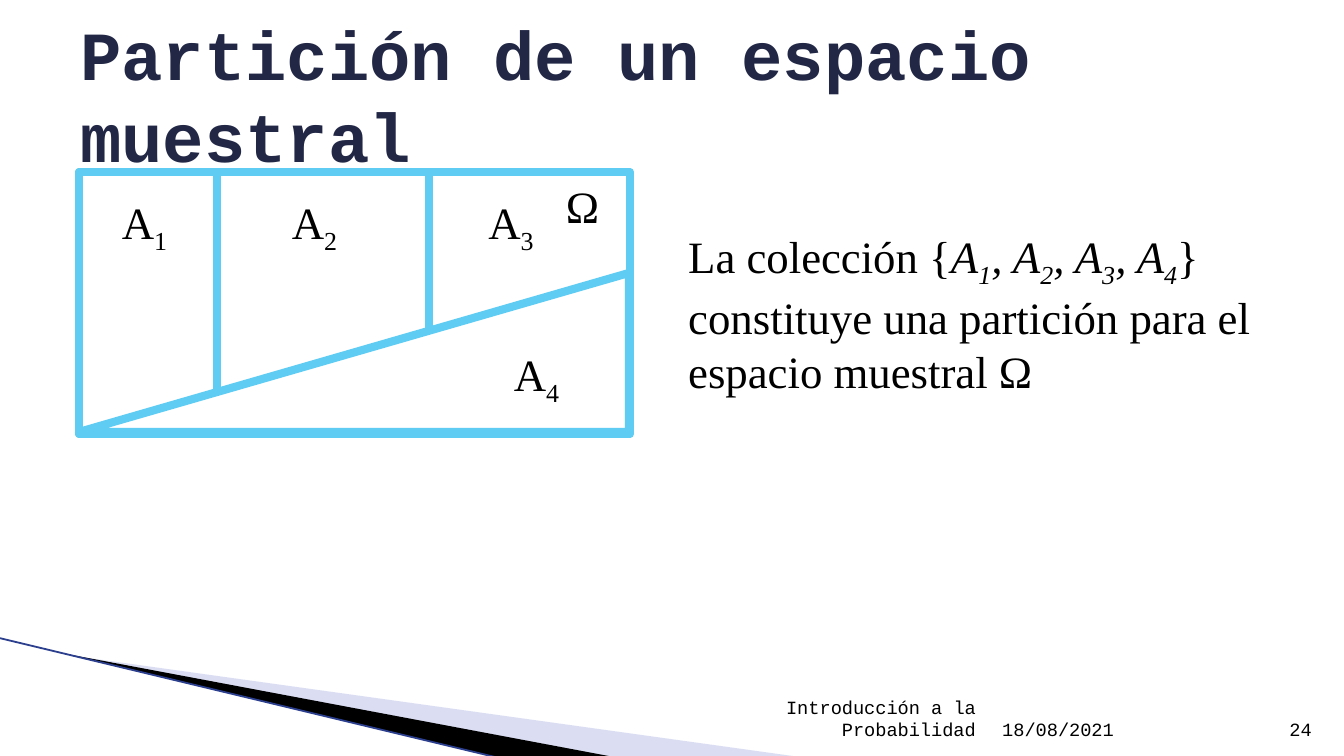
from dataclasses import dataclass
from lxml import etree
from pptx import Presentation, util as u
from pptx.dml.color import RGBColor
from pptx.enum import shapes, text
from pptx.oxml import ns

PX = 914400 / 134.4


@dataclass(frozen=True)
class Theme:
    """Hold the colours, fonts and type sizes."""
    ink: str = "000000"
    paper: str = "FFFFFF"
    title: str = "212745"
    cell: str = "5ECCF3"
    frame: str = "5DCEAF"
    wedge: str = "A6AEE1"
    edge: str = "2C3F8E"
    serif: str = "Times New Roman"
    mono: str = "Courier New"
    title_size: float = 36.9
    body_size: int = 24
    small_size: int = 10
    border: float = 4.33


T = Theme()


def px(n):
    """Turn pixels into EMU."""
    return u.Emu(round(n * PX))


def rgb(color):
    """Turn a hex string into a colour."""
    return RGBColor.from_string(color)


def add_text(s, box, runs, size=T.body_size, font=T.serif, color=T.ink, bold=False,
             align=text.PP_ALIGN.LEFT, anchor=text.MSO_ANCHOR.TOP):
    """Add a text box from (text, italic, subscript) runs."""
    tf = s.shapes.add_textbox(*map(px, box)).text_frame
    tf.word_wrap = True
    tf.vertical_anchor = anchor
    p = tf.paragraphs[0]
    p.alignment = align
    for words, italic, sub in runs:
        r = p.add_run()
        r.text = words
        f = r.font
        f.name, f.size, f.bold, f.italic = font, u.Pt(size), bold, italic
        f.color.rgb = rgb(color)
        if sub:
            r._r.get_or_add_rPr().set("baseline", "-25000")


def plain(words):
    """Make a list of one upright run."""
    return [(words, False, False)]


def add_region(s, box, kind=shapes.MSO_SHAPE.RECTANGLE, line=T.cell):
    """Add one outlined region of the sample space."""
    sp = s.shapes.add_shape(kind, *map(px, box))
    sp.shadow.inherit = False
    sp.fill.solid()
    sp.fill.fore_color.rgb = rgb(T.paper)
    sp.line.color.rgb = rgb(line)
    sp.line.width = u.Pt(T.border)
    return sp


def add_label(s, box, n):
    """Add a centred event name with its index."""
    add_text(s, box, [("A", False, False), (str(n), False, True)],
             align=text.PP_ALIGN.CENTER)


def add_wedge(s, points, color, alpha=None):
    """Add a filled polygon without outline."""
    fb = s.shapes.build_freeform(*points[0], scale=PX)
    fb.add_line_segments(points[1:], close=True)
    sp = fb.convert_to_shape()
    sp.shadow.inherit = False
    sp.fill.solid()
    sp.fill.fore_color.rgb = rgb(color)
    sp.line.fill.background()
    if alpha:
        clr = sp._element.spPr.find(".//" + ns.qn("a:srgbClr"))
        etree.SubElement(clr, ns.qn("a:alpha")).set("val", str(alpha * 1000))


def add_line(s, start, end, color, width):
    """Add a straight line without shadow."""
    c = s.shapes.add_connector(shapes.MSO_CONNECTOR.STRAIGHT, *map(px, start + end))
    c.line.color.rgb = rgb(color)
    c.line.width = u.Pt(width)
    etree.SubElement(c._element.spPr, ns.qn("a:effectLst"))


def add_decoration(s):
    """Draw the wedges in the lower left corner."""
    add_wedge(s, [(74, 656), (800, 757), (613, 757)], T.wedge, alpha=40)
    add_wedge(s, [(72, 655), (614, 757), (500, 758), (73, 656)], T.ink)
    add_line(s, (-1, 638), (499, 758), T.edge, 0.95)


def add_footer(s):
    """Write the date, the subject and the slide number."""
    left, right = text.PP_ALIGN.LEFT, text.PP_ALIGN.RIGHT
    for x, w, words, align in ((989, 282, "18/08/2021", left),
                               (644, 345, "Introducción a la Probabilidad", right),
                               (1271, 54, "24", right)):
        add_text(s, (x, 707, w, 40), plain(words), size=T.small_size, font=T.mono,
                 align=align, anchor=text.MSO_ANCHOR.BOTTOM)


def add_partition(s):
    """Draw the sample space split into four events."""
    x, y, w, h = 79, 172, 550, 262
    add_region(s, (x, y, w, h), line=T.frame)
    cells = ((138, 97, 95), (212, 241, 147), (201, 441, 140))
    for n, (cell_w, label_x, label_w) in enumerate(cells, 1):
        add_region(s, (x, y, cell_w, h))
        add_label(s, (label_x, 188, label_w, 67), n)
        x += cell_w
    add_text(s, (535, 172, 95, 67), plain("Ω"), align=text.PP_ALIGN.CENTER)
    tri = add_region(s, (79, 273, w, 159), shapes.MSO_SHAPE.RIGHT_TRIANGLE)
    tri._element.spPr.find(ns.qn("a:xfrm")).set("flipH", "1")
    add_label(s, (463, 340, 147, 67), 4)


def add_statement(s):
    """Write the sentence that names the partition."""
    runs = plain("La colección {")
    for n in range(1, 5):
        runs += [("A" if n == 1 else ", A", True, False), (str(n), True, True)]
    runs += plain("} constituye una partición para el espacio muestral Ω")
    add_text(s, (675, 222, 614, 176), runs)


def main():
    """Build and save the slide."""
    prs = Presentation()
    prs.slide_width, prs.slide_height = px(1344), px(756)
    s = prs.slides.add_slide(prs.slide_layouts[6])
    add_decoration(s)
    add_footer(s)
    add_text(s, (67, 31, 1210, 126), plain("Partición de un espacio muestral"),
             size=T.title_size, font=T.mono, color=T.title, bold=True,
             anchor=text.MSO_ANCHOR.MIDDLE)
    add_partition(s)
    add_statement(s)
    prs.save("out.pptx")


main()
